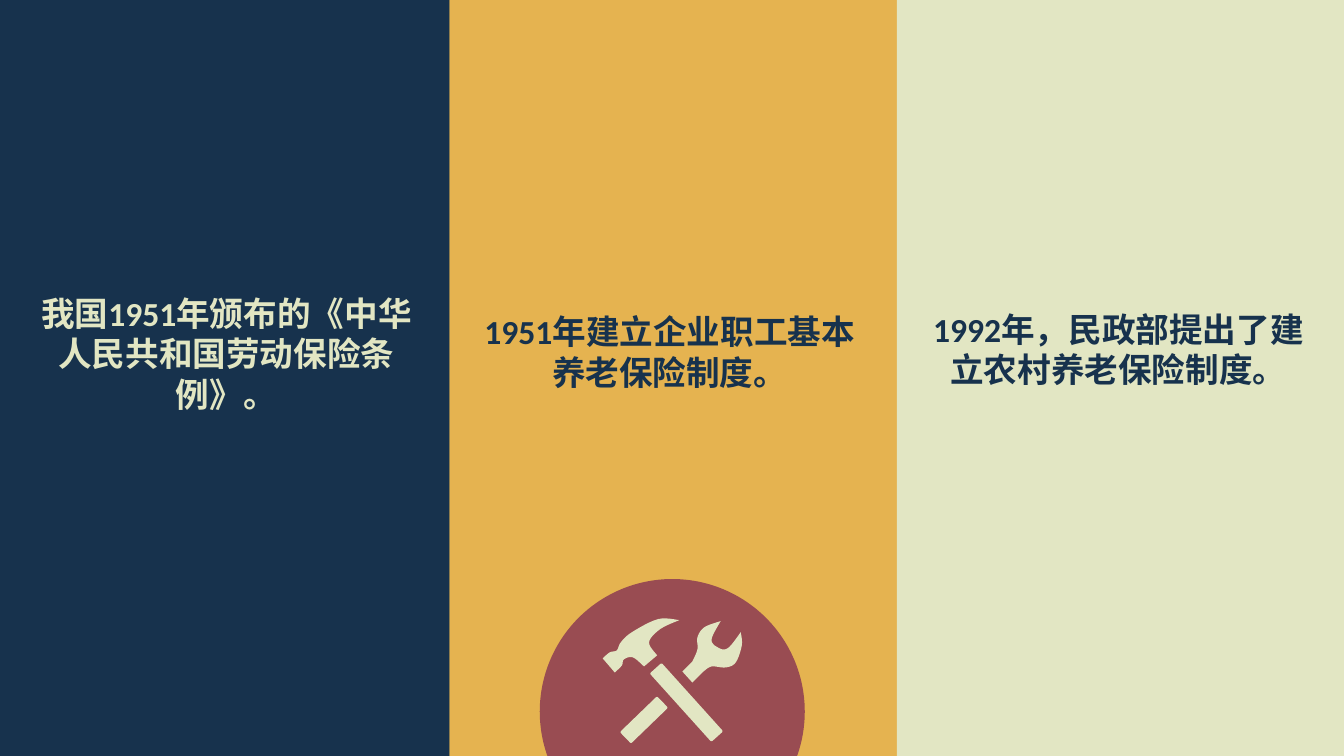
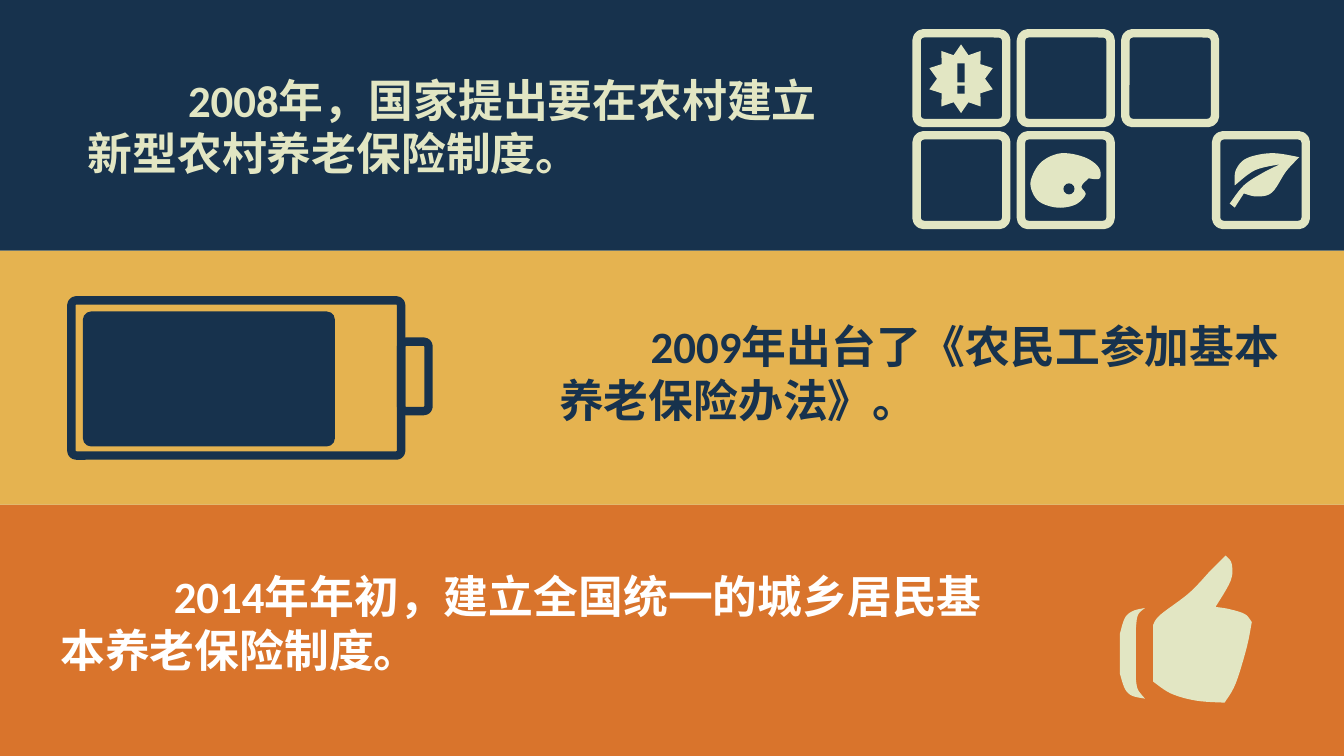
from dataclasses import dataclass
from typing import Optional

from pptx import Presentation
from pptx import presentation as deck
from pptx import slide as sld
from pptx import util as u
from pptx.dml import color
from pptx.enum import shapes, text
from pptx.shapes import autoshape

# Shared look
NAVY = color.RGBColor(0x17, 0x32, 0x4D)
GOLD = color.RGBColor(0xE5, 0xB3, 0x50)
CREAM = color.RGBColor(0xE2, 0xE6, 0xC3)
ORANGE = color.RGBColor(0xD9, 0x74, 0x2C)
PLUM = color.RGBColor(0x99, 0x4C, 0x52)
WHITE = color.RGBColor(0xFF, 0xFF, 0xFF)
FONT = "Calibri"
WIDTH, HEIGHT = 33.87, 19.05
KIND = shapes.MSO_SHAPE

# Lengths of the tile grid and of icon drawing
TILE, TILE_LEFT, TILE_TOP = 2.26, 23.1, 0.84
COLUMN_STEP, ROW_STEP = 2.63, 2.57
ICON_LINE = 6
ICON_STEPS_PER_CM = 40
CURVE_STEPS = 6

Point = tuple[float, float]
Run = tuple[Point, ...]
Box = tuple[float, float, float, float]


@dataclass(frozen=True)
class Block:
    """A coloured panel with its statement; lengths in centimetres."""
    panel: Box
    fill: color.RGBColor
    wording: str
    ink: color.RGBColor
    frame: Box
    size: int
    indent: float = 0
    align: text.PP_ALIGN = text.PP_ALIGN.LEFT


@dataclass(frozen=True)
class Icon:
    """A closed outline of runs. Each run goes on from the end of the one
    before: one anchor gives a straight edge, several give a curve."""
    left: float
    top: float
    runs: tuple[Run, ...]


@dataclass(frozen=True)
class Handle:
    """A tool handle: a bar turned about its centre."""
    centre: Point
    length: float
    angle: float


HAMMER_HEAD = Icon(15.19, 15.6, (
    ((55, 0), (29, 13), (18, 23), (14, 31), (7, 33), (0, 39)),  # back
    ((12, 53),),                                                # face
    ((19, 46), (21, 40), (30, 38), (41, 47)),                   # neck
    ((54, 36),),                                                # socket
    ((46, 23), (57, 10), (76, 1)),                              # claw
))
WRENCH_HEAD = Icon(15.19, 15.6, (
    ((89, 42),),                                                # shank
    ((94, 30), (94, 18), (101, 8), (117, 2)),                   # left jaw
    ((108, 20), (114, 28), (124, 29), (137, 13)),               # throat
    ((138, 26), (132, 43), (122, 48), (108, 47), (100, 52)),    # right jaw
    ((89, 63),),
    ((79, 52),),
))
LEAF = Icon(30.99, 3.86, (
    ((6, 17), (17, 5), (42, 0), (69, 4)),                       # upper edge
    ((56, 18), (42, 39), (27, 43), (14, 40)),                   # lower edge
    ((5, 54),),                                                 # stem
    ((0, 50),),
    ((14, 32), (32, 20), (50, 11)),                             # vein
    ((25, 17), (5, 32)),
))
PALETTE = Icon(25.96, 3.86, (
    ((51, 33), (55, 41), (45, 51), (27, 54), (9, 48), (1, 35), (2, 23),
     (12, 8), (31, 0), (54, 4), (68, 14), (69, 25), (58, 25)),
))
CUFF = Icon(28.22, 14, (
    ((18, 59), (16, 72)),
    ((16, 123),),
    ((18, 133), (25, 142)),
    ((12, 139), (5, 132), (0, 117)),
    ((0, 78),),
    ((5, 62), (13, 55), (25, 52)),
))
THUMB = Icon(28.22, 14, (
    ((110, 25), (111, 8), (105, 0)),                            # thumb tip
    ((90, 15), (69, 37), (40, 59), (33, 69)),                   # thumb back
    ((33, 125),),                                               # wrist
    ((51, 137), (76, 144), (104, 146)),                         # heel
    ((115, 127), (126, 91), (131, 66)),                         # knuckles
    ((124, 58), (108, 53), (95, 51)),                           # index finger
))
HANDLES = (Handle((17.3, 17.7), 2.32, 48), Handle((16.23, 18.14), 1.3, -44))
HANDLE_WIDTH = 0.4


def add_slide(presentation: deck.Presentation,
              background: color.RGBColor) -> sld.Slide:
    slide = presentation.slides.add_slide(presentation.slide_layouts[6])
    slide.background.fill.solid()
    slide.background.fill.fore_color.rgb = background
    return slide


def paint(shape: autoshape.Shape, fill: Optional[color.RGBColor] = None,
          line: Optional[color.RGBColor] = None, weight: float = 0) -> None:
    shape.shadow.inherit = False
    if fill is None:
        shape.fill.background()
    else:
        shape.fill.solid()
        shape.fill.fore_color.rgb = fill
    if line is None:
        shape.line.fill.background()
    else:
        shape.line.color.rgb = line
        shape.line.width = u.Pt(weight)


def add_preset(slide: sld.Slide, kind: KIND, box: Box,
               fill: Optional[color.RGBColor] = None,
               line: Optional[color.RGBColor] = None, weight: float = 0,
               adjustment: Optional[float] = None,
               angle: float = 0) -> autoshape.Shape:
    shape = slide.shapes.add_shape(kind, *map(u.Cm, box))
    if adjustment is not None:
        shape.adjustments[0] = adjustment
    shape.rotation = angle
    paint(shape, fill, line, weight)
    return shape


def smooth(anchors: Run) -> list[Point]:
    """Points of a Catmull-Rom curve through the anchors, without the first."""
    if len(anchors) == 2:
        return [anchors[1]]
    padded = (anchors[0], *anchors, anchors[-1])
    points = []
    for before, start, end, after in zip(padded, padded[1:], padded[2:], padded[3:]):
        for step in range(1, CURVE_STEPS + 1):
            t = step / CURVE_STEPS
            points.append(tuple(
                b + ((c - a) * t + (2 * a - 5 * b + 4 * c - d) * t ** 2
                     + (3 * b - a - 3 * c + d) * t ** 3) / 2
                for a, b, c, d in zip(before, start, end, after)))
    return points


def add_icon(slide: sld.Slide, icon: Icon) -> None:
    def place(point: Point) -> tuple[int, int]:
        x, y = point
        unit = 1.016 / ICON_STEPS_PER_CM
        return u.Cm(icon.left + x * unit), u.Cm(icon.top + y * unit)

    corner = icon.runs[-1][-1]
    builder = slide.shapes.build_freeform(*place(corner))
    for run in icon.runs:
        builder.add_line_segments(map(place, smooth((corner, *run))), close=False)
        corner = run[-1]
    paint(builder.convert_to_shape(), CREAM)


def add_block(slide: sld.Slide, block: Block) -> None:
    add_preset(slide, KIND.RECTANGLE, block.panel, block.fill)
    frame = slide.shapes.add_textbox(*map(u.Cm, block.frame)).text_frame
    frame.word_wrap = True
    paragraph = frame.paragraphs[0]
    paragraph.text = block.wording
    paragraph.alignment = block.align
    if block.indent:
        paragraph._p.get_or_add_pPr().set("indent", str(u.Cm(block.indent)))
    for run in paragraph.runs:
        run.font.name = FONT
        run.font.size = u.Pt(block.size)
        run.font.bold = True
        run.font.color.rgb = block.ink


def column(left: float, right: float, fill: color.RGBColor, wording: str,
           ink: color.RGBColor, text_left: float, text_top: float,
           text_height: float) -> Block:
    return Block((left, 0, right - left, HEIGHT), fill, wording, ink,
                 (text_left, text_top, 9.93, text_height), 24,
                 align=text.PP_ALIGN.CENTER)


def band(top: float, bottom: float, fill: color.RGBColor, wording: str,
         ink: color.RGBColor, text_left: float, text_top: float,
         text_width: float, indent: float) -> Block:
    return Block((0, top, WIDTH, bottom - top), fill, wording, ink,
                 (text_left, text_top, text_width, 2.97), 32, indent)


def add_tools(slide: sld.Slide) -> None:
    add_preset(slide, KIND.CHORD, (13.64, 14.63, 6.6, 6.6), PLUM, PLUM, 2.25,
               angle=112.5)
    for handle in HANDLES:
        x, y = handle.centre
        box = (x - handle.length / 2, y - HANDLE_WIDTH / 2, handle.length, HANDLE_WIDTH)
        add_preset(slide, KIND.ROUNDED_RECTANGLE, box, CREAM,
                   adjustment=0.1, angle=handle.angle)
    for head in (HAMMER_HEAD, WRENCH_HEAD):
        add_icon(slide, head)


def add_battery(slide: sld.Slide) -> None:
    case, terminal = (1.8, 7.57, 8.31, 3.91), (10.11, 8.61, 0.69, 1.75)
    charge = (2.09, 7.85, 6.35, 3.4)
    for box, corner in ((case, 0.03), (terminal, 0.17)):
        add_preset(slide, KIND.ROUNDED_RECTANGLE, box, line=NAVY,
                   weight=ICON_LINE, adjustment=corner)
    add_preset(slide, KIND.ROUNDED_RECTANGLE, charge, NAVY, adjustment=0.06)


def add_tiles(slide: sld.Slide) -> None:
    last_column = 2.87
    for row, columns in enumerate(((0, 1, 2), (0, 1, last_column))):
        for place in columns:
            box = (TILE_LEFT + place * COLUMN_STEP, TILE_TOP + row * ROW_STEP, TILE, TILE)
            add_preset(slide, KIND.ROUNDED_RECTANGLE, box, line=CREAM,
                       weight=ICON_LINE, adjustment=0.08)


def add_tile_icons(slide: sld.Slide) -> None:
    # Burst with an exclamation mark
    add_preset(slide, KIND.STAR_10_POINT, (23.42, 1.12, 1.6, 1.73), CREAM,
               adjustment=0.36)
    for top, height in ((1.6, 0.48), (2.16, 0.2)):
        add_preset(slide, KIND.RECTANGLE, (24.13, top, 0.18, height), NAVY)
    # Palette with its thumb hole, and leaf
    add_icon(slide, PALETTE)
    add_preset(slide, KIND.OVAL, (26.8, 4.62, 0.28, 0.28), NAVY)
    add_icon(slide, LEAF)


def build_columns(presentation: deck.Presentation) -> None:
    slide = add_slide(presentation, GOLD)
    for block in (
        column(0, 11.33, NAVY, "我国1951年颁布的《中华人民共和国劳动保险条例》。",
               CREAM, 0.74, 7.26, 3.3),
        column(11.33, 22.6, GOLD, "1951年建立企业职工基本养老保险制度。",
               NAVY, 11.91, 7.72, 2.29),
        column(22.6, WIDTH, CREAM, "1992年，民政部提出了建立农村养老保险制度。",
               NAVY, 23.22, 7.65, 2.29),
    ):
        add_block(slide, block)
    add_tools(slide)


def build_bands(presentation: deck.Presentation) -> None:
    slide = add_slide(presentation, CREAM)
    for block in (
        band(0, 6.32, NAVY, "2008年，国家提出要在农村建立新型农村养老保险制度。",
             CREAM, 1.96, 1.7, 19.1, 2.53),
        band(6.32, 12.72, GOLD, "2009年出台了《农民工参加基本养老保险办法》。",
             NAVY, 13.84, 7.9, 19.35, 2.31),
        band(12.72, HEIGHT, ORANGE, "2014年年初，建立全国统一的城乡居民基本养老保险制度。",
             WHITE, 1.27, 14.2, 24.77, 2.86),
    ):
        add_block(slide, block)
    add_battery(slide)
    add_tiles(slide)
    add_tile_icons(slide)
    for part in (CUFF, THUMB):
        add_icon(slide, part)


def main() -> None:
    presentation = Presentation()
    presentation.slide_width = u.Cm(WIDTH)
    presentation.slide_height = u.Cm(HEIGHT)
    build_columns(presentation)
    build_bands(presentation)
    presentation.save("out.pptx")


main()
